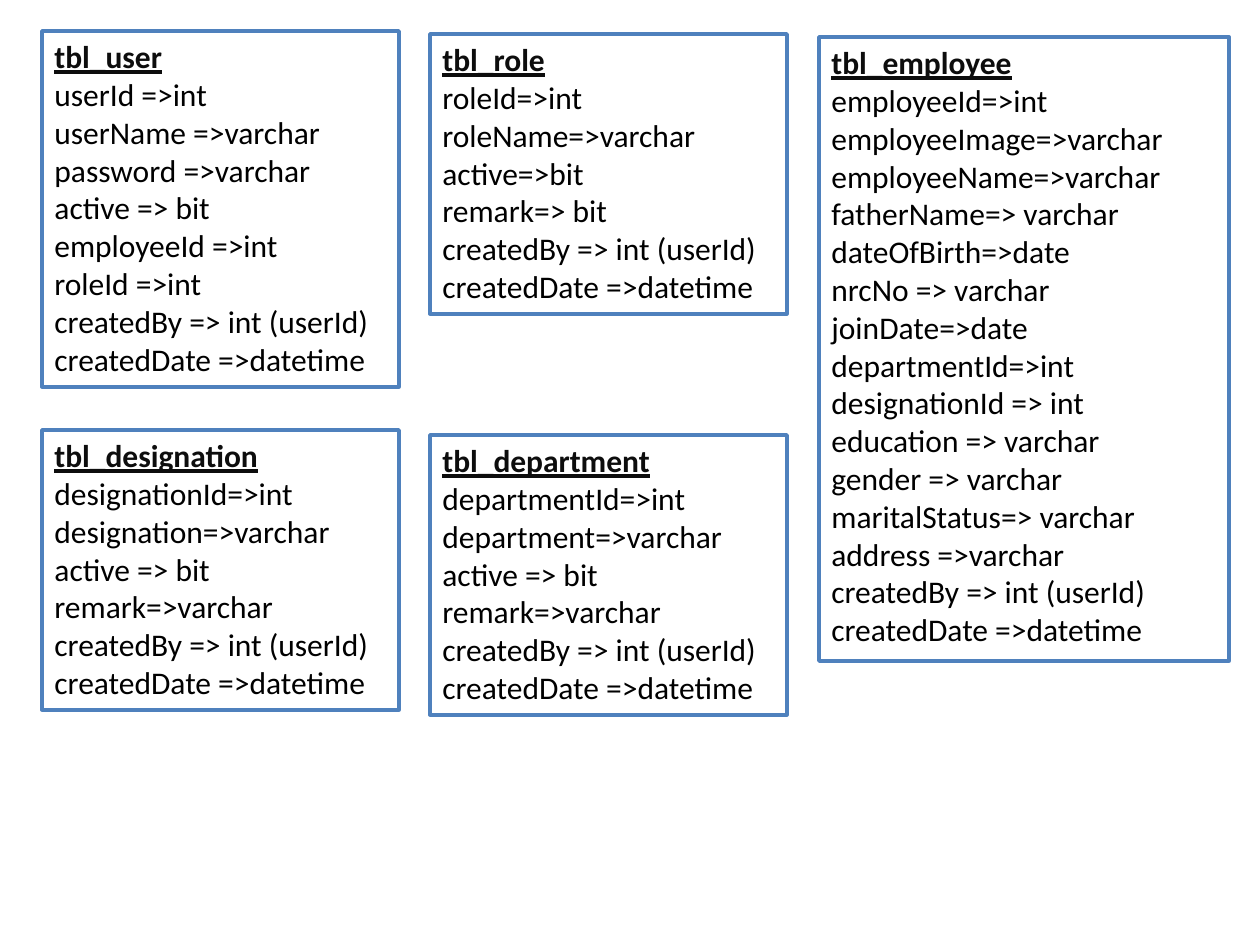
from dataclasses import dataclass

from lxml.etree import SubElement
from pptx import Presentation
from pptx.dml.color import RGBColor
from pptx.enum.shapes import MSO_SHAPE
from pptx.enum.text import MSO_ANCHOR, MSO_AUTO_SIZE, PP_ALIGN
from pptx.oxml.ns import qn
from pptx.slide import Slide
from pptx.util import Emu, Pt

PX = 914400 // 126
WHITE = RGBColor(0xFF, 0xFF, 0xFF)
BLACK = RGBColor(0, 0, 0)
DARK = RGBColor(0x0D, 0x0D, 0x0D)
BLUE = RGBColor(0x4F, 0x81, 0xBD)
NAVY = RGBColor(0x37, 0x60, 0x92)

FRAME = {
    "word_wrap": True,
    "auto_size": MSO_AUTO_SIZE.SHAPE_TO_FIT_TEXT,
    "vertical_anchor": MSO_ANCHOR.TOP,
}
BASE = {"name": "Calibri", "size": Pt(18)}
HEAD = BASE | {"bold": True, "underline": True}
AUDIT = ("createdBy => int (userId)", "createdDate =>datetime")
LEFT, MID, RIGHT = 42, 430, 819
SLIM, WIDE = 357, 410


@dataclass(frozen=True)
class Entity:
    """A database table and its box, in pixels."""

    name: str
    x: int
    y: int
    width: int
    height: int
    fields: tuple[str, ...]


ENTITIES = (
    Entity("tbl_user", LEFT, 31, SLIM, 356, (
        "userId =>int", "userName =>varchar", "password =>varchar",
        "active => bit", "employeeId =>int", "roleId =>int")),
    Entity("tbl_role", MID, 34, SLIM, 280, (
        "roleId=>int", "roleName=>varchar", "active=>bit", "remark=> bit")),
    Entity("tbl_employee", RIGHT, 37, WIDE, 624, (
        "employeeId=>int", "employeeImage=>varchar", "employeeName=>varchar",
        "fatherName=> varchar", "dateOfBirth=>date", "nrcNo => varchar",
        "joinDate=>date", "departmentId=>int", "designationId => int",
        "education => varchar", "gender => varchar",
        "maritalStatus=> varchar", "address =>varchar")),
    Entity("tbl_designation", LEFT, 430, SLIM, 280, (
        "designationId=>int", "designation=>varchar", "active => bit",
        "remark=>varchar")),
    Entity("tbl_department", MID, 435, SLIM, 280, (
        "departmentId=>int", "department=>varchar", "active => bit",
        "remark=>varchar")),
)


def apply(target: object, style: dict) -> None:
    """Set each format value on the target."""
    for key, value in style.items():
        setattr(target, key, value)


def outline(run: object) -> None:
    """Give the letters of a run a thin navy edge."""
    props = run.font._element
    edge = SubElement(props, qn("a:ln"), w=str(Pt(0.75)))
    fill = SubElement(edge, qn("a:solidFill"))
    SubElement(fill, qn("a:srgbClr"), val=str(NAVY))
    props.insert(0, edge)


def draw(slide: Slide, entity: Entity) -> None:
    """Draw one entity box with its heading and fields."""
    area = (entity.x, entity.y, entity.width, entity.height)
    box = slide.shapes.add_shape(
        MSO_SHAPE.RECTANGLE, *(Emu(side * PX) for side in area))
    box.shadow.inherit = False
    box.fill.solid()
    box.fill.fore_color.rgb = WHITE
    box.line.color.rgb = BLUE
    box.line.width = Pt(2)
    frame = box.text_frame
    apply(frame, FRAME)
    lines = (entity.name, *entity.fields, *AUDIT)
    for index, text in enumerate(lines):
        para = frame.add_paragraph() if index else frame.paragraphs[0]
        para.alignment = PP_ALIGN.LEFT
        run = para.add_run()
        run.text = text
        apply(run.font, BASE if index else HEAD)
        run.font.color.rgb = BLACK if index else DARK
        if not index:
            outline(run)


def main() -> None:
    """Build and save the slide."""
    deck = Presentation()
    deck.slide_width, deck.slide_height = Emu(1260 * PX), Emu(945 * PX)
    slide = deck.slides.add_slide(deck.slide_layouts[6])
    for entity in ENTITIES:
        draw(slide, entity)
    deck.save("out.pptx")


main()
